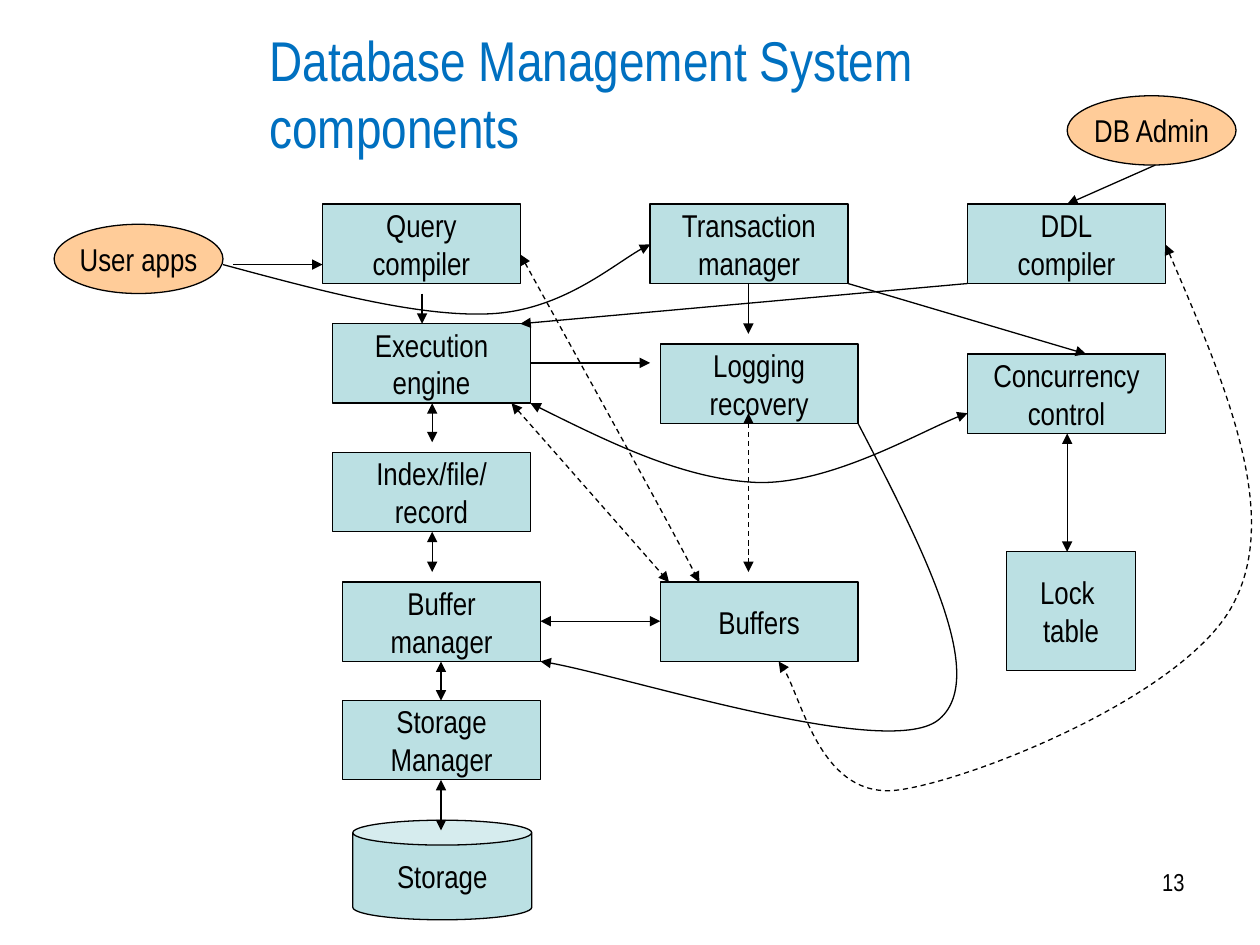
"""Build a slide showing the components of a database management system."""
from pptx import Presentation
from pptx.dml.color import RGBColor
from pptx.enum.dml import MSO_LINE
from pptx.enum.shapes import MSO_CONNECTOR, MSO_SHAPE
from pptx.enum.text import MSO_ANCHOR, PP_ALIGN
from pptx.oxml.ns import qn
from pptx.oxml.xmlchemy import OxmlElement
from pptx.util import Inches, Pt

FONT = "Arial Narrow"
COLORS = {"title": "0070C0", "ink": "000000", "component": "BBE0E3", "actor": "FFCC99"}
BOX_SIZE = (1.57, 0.63)
ACTOR_SIZE = (1.34, 0.55)

COMPONENTS = [
    ("Storage\nManager", 2.72, 5.56),
    ("Buffer\nmanager", 2.72, 4.62),
    ("DDL\ncompiler", 7.68, 1.62),
    ("Buffers", 5.24, 4.62),
    ("Logging\nrecovery", 5.24, 2.73),
    ("Transaction\nmanager", 5.16, 1.62),
    ("Query\ncompiler", 2.56, 1.62),
    ("Execution\nengine", 2.64, 2.57),
    ("Index/file/\nrecord", 2.64, 3.59),
    ("Concurrency\ncontrol", 7.68, 2.81),
]
ACTORS = [("User apps", 0.43, 1.78), ("DB Admin", 8.47, 0.76)]

ONE_WAY = [
    ((3.35, 2.33), (3.35, 2.57)),
    ((1.85, 2.1), (2.56, 2.1)),
    ((9.17, 1.31), (8.47, 1.62)),
    ((7.68, 2.25), (4.13, 2.57)),
    ((5.94, 2.25), (5.94, 2.65)),
    ((6.73, 2.25), (8.62, 2.81)),
    ((4.21, 2.88), (5.16, 2.88)),
]
TWO_WAY = [
    ((3.5, 6.19), (3.5, 6.59)),
    ((3.5, 5.25), (3.5, 5.56)),
    ((3.43, 4.22), (3.43, 4.54)),
    ((3.43, 3.2), (3.43, 3.51)),
    ((4.29, 4.93), (5.24, 4.93)),
    ((8.47, 3.44), (8.47, 4.38)),
]
TWO_WAY_DASHED = [((5.94, 3.28), (5.94, 4.54))]

CURVES_ONE_WAY = [
    [(6.81, 3.36), (7.34, 4.38), (7.86, 5.4), (7.44, 5.72),
     (7.02, 6.03), (4.82, 5.32), (4.29, 5.25)],
    [(1.77, 2.1), (2.55, 2.31), (3.33, 2.52), (3.9, 2.49),
     (4.46, 2.46), (4.95, 2.03), (5.16, 1.94)],
]
CURVES_TWO_WAY = [
    [(4.21, 3.2), (4.83, 3.51), (5.45, 3.81), (6.02, 3.83),
     (6.6, 3.84), (7.4, 3.37), (7.68, 3.28)],
]
CURVES_TWO_WAY_DASHED = [
    [(9.25, 1.94), (9.7, 2.99), (10.16, 4.05), (9.8, 4.77), (9.45, 5.5),
     (7.73, 6.19), (7.13, 6.27), (6.52, 6.35), (6.34, 5.42), (6.18, 5.25)],
    [(4.06, 3.2), (4.58, 3.79), (5.1, 4.38), (5.31, 4.62)],
    [(4.13, 2.02), (4.72, 3.09), (5.32, 4.17), (5.55, 4.62)],
]


def rgb(name):
    return RGBColor.from_string(COLORS[name])


def write(frame, text, size, color, align, anchor, wrap):
    frame.text = text
    frame.word_wrap = wrap
    frame.vertical_anchor = anchor
    for paragraph in frame.paragraphs:
        paragraph.alignment = align
        paragraph.font.name = FONT
        paragraph.font.size = Pt(size)
        paragraph.font.color.rgb = rgb(color)


def add_label(slide, text, bounds, size, color, align, anchor):
    label = slide.shapes.add_textbox(*map(Inches, bounds))
    write(label.text_frame, text, size, color, align, anchor, True)


def add_node(slide, kind, text, position, size, fill):
    node = slide.shapes.add_shape(kind, *map(Inches, position + size))
    node.shadow.inherit = False
    node.fill.solid()
    node.fill.fore_color.rgb = rgb(fill)
    node.line.color.rgb = rgb("ink")
    node.line.width = Pt(0.75)
    write(node.text_frame, text, 18, "ink", PP_ALIGN.CENTER, MSO_ANCHOR.MIDDLE, False)


def style_arrow(line, both, dashed):
    line.color.rgb = rgb("ink")
    line.width = Pt(0.75)
    if dashed:
        line.dash_style = MSO_LINE.DASH
    for end in ("a:headEnd", "a:tailEnd") if both else ("a:tailEnd",):
        tip = OxmlElement(end)
        tip.set("type", "triangle")
        line._get_or_add_ln().append(tip)


def add_arrow(slide, start, end, both=False, dashed=False):
    arrow = slide.shapes.add_connector(MSO_CONNECTOR.STRAIGHT, *map(Inches, start + end))
    style_arrow(arrow.line, both, dashed)
    arrow._element.spPr.append(OxmlElement("a:effectLst"))


def add_curve(slide, points, both=False, dashed=False):
    start, *rest = [(Inches(x), Inches(y)) for x, y in points]
    builder = slide.shapes.build_freeform(*start)
    builder.add_line_segments(rest, close=False)
    curve = builder.convert_to_shape()
    curve.shadow.inherit = False
    curve.fill.background()
    style_arrow(curve.line, both, dashed)
    segments = list(curve._element.iter(qn("a:lnTo")))
    for first in range(0, len(segments), 3):
        bezier = OxmlElement("a:cubicBezTo")
        segments[first].addprevious(bezier)
        for segment in segments[first:first + 3]:
            bezier.append(segment[0])
            segment.getparent().remove(segment)


def main():
    deck = Presentation()
    deck.slide_width, deck.slide_height = Inches(10), Inches(7.5)
    slide = deck.slides.add_slide(deck.slide_layouts[6])

    add_label(slide, "13", (7.17, 6.83, 2.33, 0.52), 14, "ink",
              PP_ALIGN.RIGHT, MSO_ANCHOR.TOP)
    add_label(slide, "Database Management System components", (2.04, 0.34, 6.82, 0.79),
              32, "title", PP_ALIGN.LEFT, MSO_ANCHOR.MIDDLE)

    add_node(slide, MSO_SHAPE.CAN, "Storage", (2.8, 6.51), (1.42, 0.79), "component")
    for text, left, top in COMPONENTS:
        add_node(slide, MSO_SHAPE.RECTANGLE, text, (left, top), BOX_SIZE, "component")
    add_node(slide, MSO_SHAPE.RECTANGLE, "Lock \ntable", (7.99, 4.38), (1.02, 0.94),
             "component")
    for text, left, top in ACTORS:
        add_node(slide, MSO_SHAPE.OVAL, text, (left, top), ACTOR_SIZE, "actor")

    for arrows, curves, both, dashed in (
        (ONE_WAY, CURVES_ONE_WAY, False, False),
        (TWO_WAY, CURVES_TWO_WAY, True, False),
        (TWO_WAY_DASHED, CURVES_TWO_WAY_DASHED, True, True),
    ):
        for start, end in arrows:
            add_arrow(slide, start, end, both, dashed)
        for points in curves:
            add_curve(slide, points, both, dashed)

    deck.save("out.pptx")


main()
